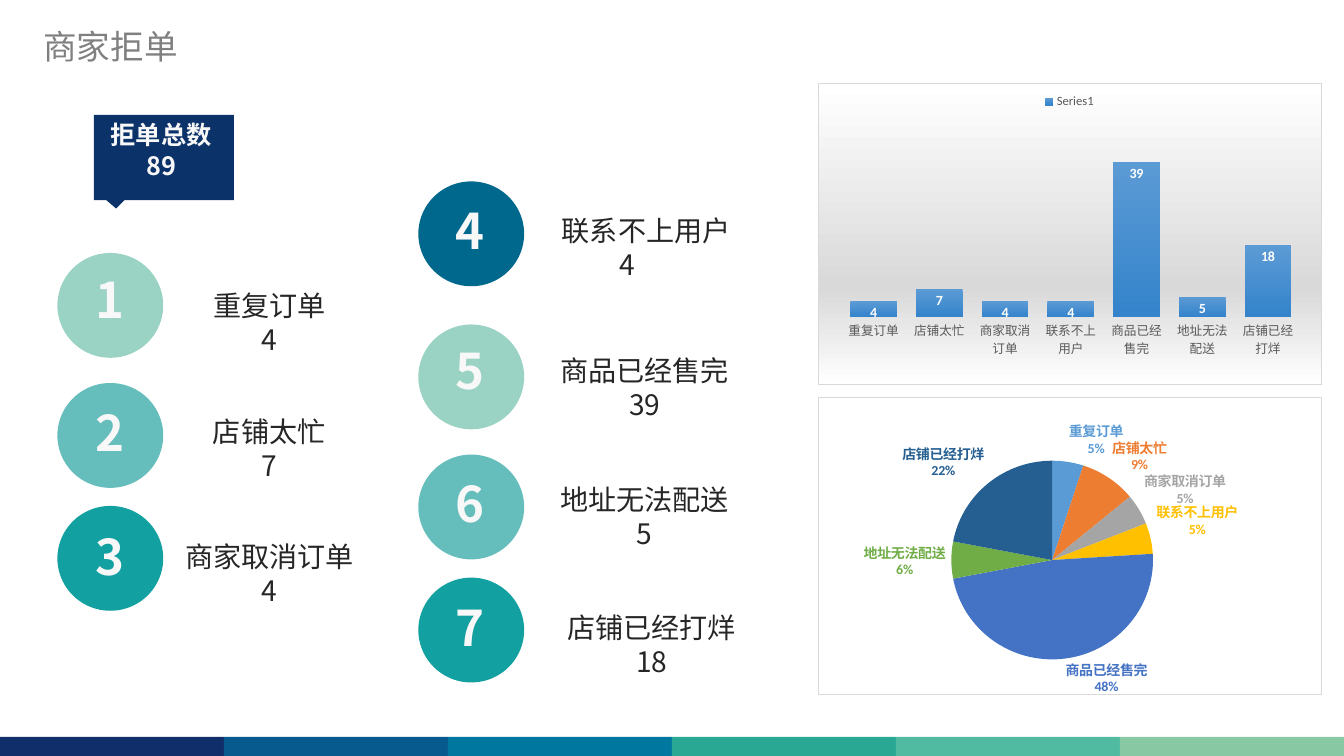
from lxml import etree
from pptx import Presentation
from pptx.chart import data
from pptx.dml.color import RGBColor
from pptx.enum import chart as kinds, shapes, text
from pptx.oxml import ns, parse_xml
from pptx.util import Pt

NAVY = RGBColor(0x0C, 0x32, 0x6A)
MINT = RGBColor(0x9A, 0xD3, 0xC3)
AQUA = RGBColor(0x65, 0xBD, 0xBC)
TEAL = RGBColor(0x13, 0xA0, 0xA0)
OCEAN = RGBColor(0x00, 0x68, 0x8D)
OFF_WHITE = RGBColor(0xF8, 0xF8, 0xF8)
WHITE = RGBColor(0xFF, 0xFF, 0xFF)
INK = RGBColor(0x26, 0x26, 0x26)
GREY = RGBColor(0x80, 0x80, 0x80)
AXIS_GREY = RGBColor(0x59, 0x59, 0x59)
BLACK = RGBColor(0, 0, 0)
BAR_TOP = RGBColor(0x5B, 0x9B, 0xD5)
BAR_BOTTOM = RGBColor(0x34, 0x83, 0xCB)
STRIPES = [RGBColor.from_string(c) for c in
           ("102E6A", "075A8E", "00779F", "29A993", "50BBA0", "88C9A4")]
SLICES = [RGBColor.from_string(c) for c in
          ("5B9BD5", "ED7D31", "A5A5A5", "FFC000", "4472C4", "70AD47", "255E91")]

REASONS = [
    ("重复订单", 4, MINT, (41, 180.7), 8, (123.1, 202.3, 139)),
    ("店铺太忙", 7, AQUA, (41, 273.6), 10, (128.9, 292.3, 126.7)),
    ("商家取消订单", 4, TEAL, (41, 361.4), 10.8, (123.1, 381.6, 139)),
    ("联系不上用户", 4, OCEAN, (298.8, 129.6), 10, (379.4, 149, 164.2)),
    ("商品已经售完", 39, MINT, (298.8, 231.8), 8, (385.2, 249.1, 150.5)),
    ("地址无法配送", 5, AQUA, (298.8, 324.7), 10, (385.2, 341.3, 150.5)),
    ("店铺已经打烊", 18, TEAL, (298.8, 412.6), 10.8, (390.2, 432.7, 150.5)),
]
SHARES = (5, 9, 5, 5, 48, 6, 22)
SOLID = '<a:solidFill><a:srgbClr val="FFFFFF"/></a:solidFill>'
SILVER = ('<a:gradFill><a:gsLst><a:gs pos="0"><a:srgbClr val="FFFFFF"/></a:gs>'
          '<a:gs pos="68000"><a:srgbClr val="D9D9D9"/></a:gs>'
          '<a:gs pos="100000"><a:srgbClr val="FFFFFF"/></a:gs></a:gsLst>'
          '<a:lin ang="5400000" scaled="0"/></a:gradFill>')


class Board:
    """Draws the elements of one slide in a shared style."""

    font = "Noto Sans CJK SC"
    chart_font = "Calibri"

    def __init__(self, slide):
        self.slide = slide

    def paint(self, shape, color):
        shape.shadow.inherit = False
        shape.fill.solid()
        shape.fill.fore_color.rgb = color
        shape.line.fill.background()
        return shape

    def block(self, kind, left, top, width, height, color):
        box = [Pt(v) for v in (left, top, width, height)]
        return self.paint(self.slide.shapes.add_shape(kind, *box), color)

    def outline(self, points, color):
        builder = self.slide.shapes.build_freeform(*points[0], scale=Pt(1))
        builder.add_line_segments(points[1:], close=True)
        return self.paint(builder.convert_to_shape(), color)

    def letter(self, shape, words, size, color, bold=False, align=text.PP_ALIGN.LEFT,
               wrap=True, font=None):
        frame = shape.text_frame
        frame.text = words
        frame.word_wrap = wrap
        frame.vertical_anchor = text.MSO_ANCHOR.TOP
        frame.auto_size = text.MSO_AUTO_SIZE.SHAPE_TO_FIT_TEXT
        for paragraph in frame.paragraphs:
            paragraph.alignment = align
            for run in paragraph.runs:
                run.font.name = font or self.font
                run.font.size, run.font.bold = Pt(size), bold
                run.font.color.rgb = color
                east_asian = etree.SubElement(run._r.get_or_add_rPr(), ns.qn("a:ea"))
                east_asian.set("typeface", self.font)
        return frame

    def label(self, left, top, width, height, words, size, color, **style):
        box = [Pt(v) for v in (left, top, width, height)]
        return self.letter(self.slide.shapes.add_textbox(*box), words, size, color, **style)

    def style_font(self, font, size, color, bold=False):
        font.name, font.size, font.bold = self.chart_font, Pt(size), bold
        font.color.rgb = color

    def chart(self, kind, top, name, values, background, plot_box):
        content = data.CategoryChartData()
        content.categories = [reason[0] for reason in REASONS]
        content.add_series(name, values)
        chart = self.slide.shapes.add_chart(
            kind, Pt(584), Pt(top), Pt(360), Pt(216), content).chart
        chart.has_title = False
        self.style_font(chart.font, 10, BLACK)
        chart.plots[0].vary_by_categories = False
        root = chart._chartSpace
        root.find(ns.qn("c:chart")).addnext(parse_xml(
            f'<c:spPr {ns.nsdecls("c", "a")}>{background}<a:ln w="9525"><a:solidFill>'
            '<a:srgbClr val="D9D9D9"/></a:solidFill></a:ln></c:spPr>'))
        area = root.find(".//" + ns.qn("c:plotArea"))
        for layout in area.findall(ns.qn("c:layout")):
            area.remove(layout)
        sizes = "".join(f'<c:{key} val="{v}"/>' for key, v in zip("xywh", plot_box))
        area.insert(0, parse_xml(
            f'<c:layout {ns.nsdecls("c")}><c:manualLayout><c:layoutTarget val="inner"/>'
            f'<c:xMode val="edge"/><c:yMode val="edge"/>{sizes}'
            '</c:manualLayout></c:layout>'))
        return chart

    def columns(self):
        chart = self.chart(kinds.XL_CHART_TYPE.COLUMN_CLUSTERED, 59, "Series1",
                           [reason[1] for reason in REASONS], SILVER,
                           (0.045, 0.182, 0.915, 0.595))
        chart.has_legend = True
        chart.legend.position = kinds.XL_LEGEND_POSITION.TOP
        chart.legend.include_in_layout = False
        self.style_font(chart.legend.font, 9, AXIS_GREY)
        values, names = chart.value_axis, chart.category_axis
        values.minimum_scale, values.maximum_scale = 0, 45
        values.has_major_gridlines = False
        values.visible = False
        names.major_tick_mark = kinds.XL_TICK_MARK.NONE
        names.format.line.fill.background()
        self.style_font(names.tick_labels.font, 9, AXIS_GREY)
        plot = chart.plots[0]
        plot.gap_width = 41
        fill = plot.series[0].format.fill
        fill.gradient()
        fill.gradient_angle = 270
        for stop, color in zip(fill.gradient_stops, (BAR_TOP, BAR_BOTTOM)):
            stop.color.rgb = color
        plot.has_data_labels = True
        labels = plot.data_labels
        labels.show_value = True
        labels.position = kinds.XL_LABEL_POSITION.INSIDE_END
        self.style_font(labels.font, 10, WHITE, True)

    def pie(self):
        chart = self.chart(kinds.XL_CHART_TYPE.PIE, 283.7, "Series 1", SHARES, SOLID,
                           (0.265, 0.212, 0.401, 0.669))
        chart.has_legend = False
        series = chart.plots[0].series[0]
        for index, color in enumerate(SLICES):
            point = series.points[index]
            point.format.fill.solid()
            point.format.fill.fore_color.rgb = color
            self.style_font(point.data_label.font, 10, color, True)
            point.data_label.position = kinds.XL_LABEL_POSITION.OUTSIDE_END
        for label in series._element.iter(ns.qn("c:dLbl")):
            for tag, shown in (("showVal", "0"), ("showCatName", "1"), ("showPercent", "1")):
                label.find(ns.qn("c:" + tag)).set("val", shown)
            etree.SubElement(label, ns.qn("c:separator")).text = "\n"


def main():
    deck = Presentation()
    deck.slide_width, deck.slide_height = Pt(960), Pt(540)
    board = Board(deck.slides.add_slide(deck.slide_layouts[6]))
    rect, oval = shapes.MSO_SHAPE.RECTANGLE, shapes.MSO_SHAPE.OVAL
    center = text.PP_ALIGN.CENTER

    for index, color in enumerate(STRIPES):
        board.block(rect, 160 * index, 526.4, 160, 13.6, color)
    board.label(23.8, 15.1, 110.2, 36, "商家拒单", 24, GREY, wrap=False, font="Arial")
    board.outline([(67, 82), (167, 82), (167, 142.6), (89.3, 142.6), (82.8, 149),
                   (76.3, 142.6), (67, 142.6)], NAVY)
    board.label(69.8, 82, 90.7, 50.4, "拒单总数89", 18, OFF_WHITE, bold=True, align=center)

    for number, reason in enumerate(REASONS, 1):
        name, count, color, (left, top), drop, (name_left, name_top, width) = reason
        board.block(oval, left, top, 75.6, 74.9, color)
        digit = board.block(rect, left + 19.8, top + drop, 36.5, 49.7, color)
        board.letter(digit, str(number), 35.1, OFF_WHITE, bold=True, wrap=False)
        caption = board.label(name_left, name_top, width, 55.4, f"{name}\n{count}",
                              20.1, INK, align=center)
        if number == 4:
            tally = caption.paragraphs[1]
            tally.alignment = text.PP_ALIGN.LEFT
            tally._p.get_or_add_pPr().set("marL", str(Pt(56)))

    board.columns()
    board.pie()
    deck.save("out.pptx")


if __name__ == "__main__":
    main()
